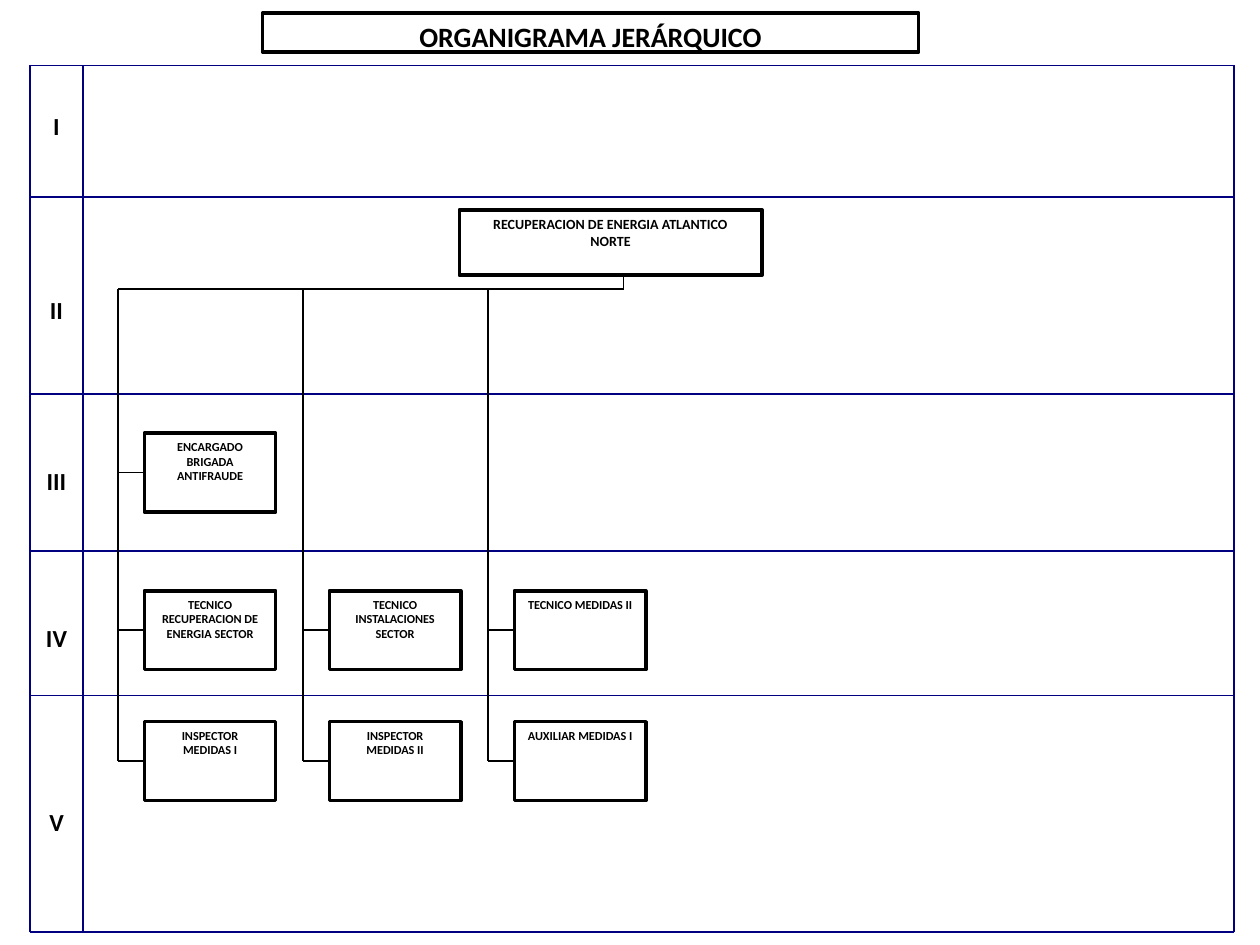
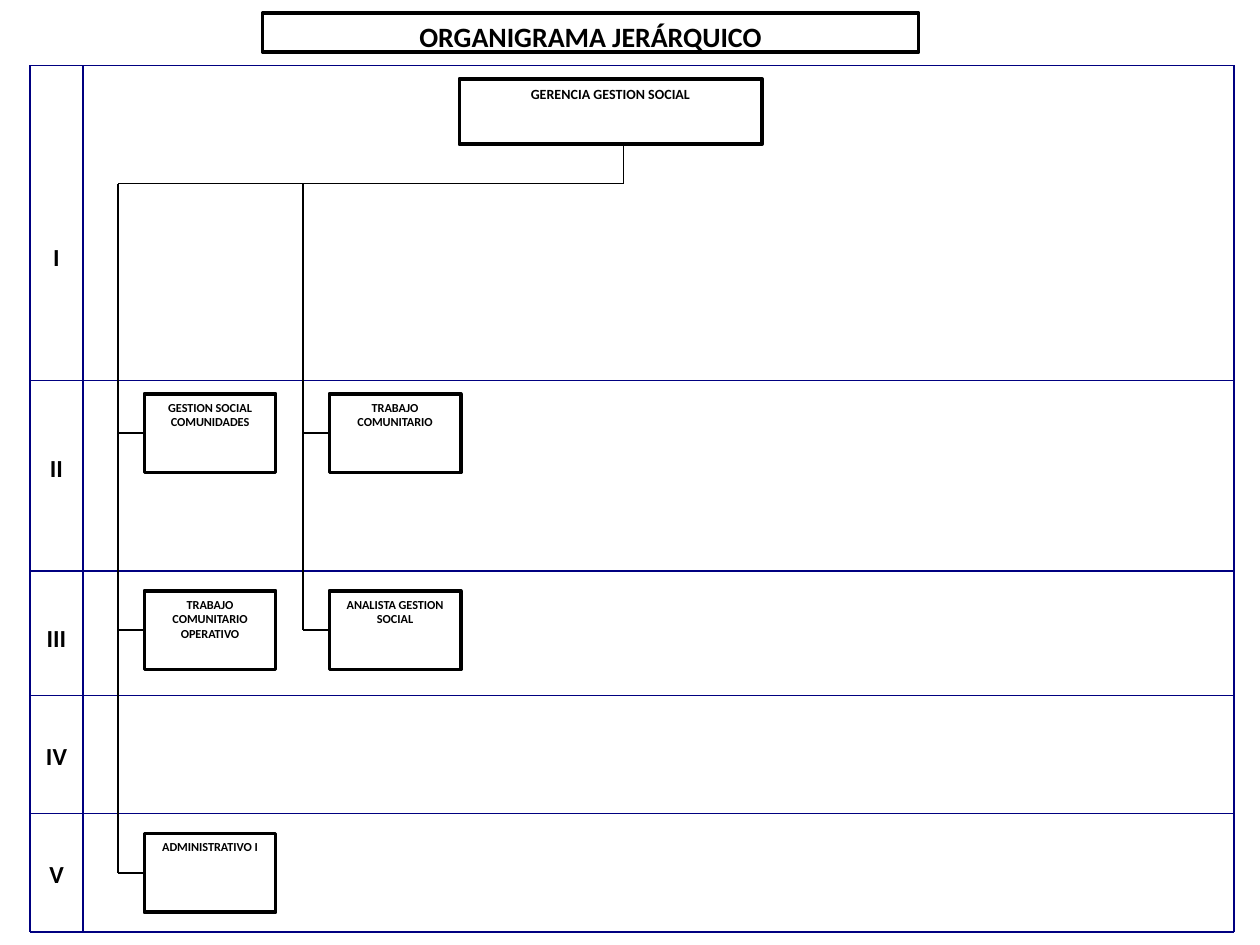
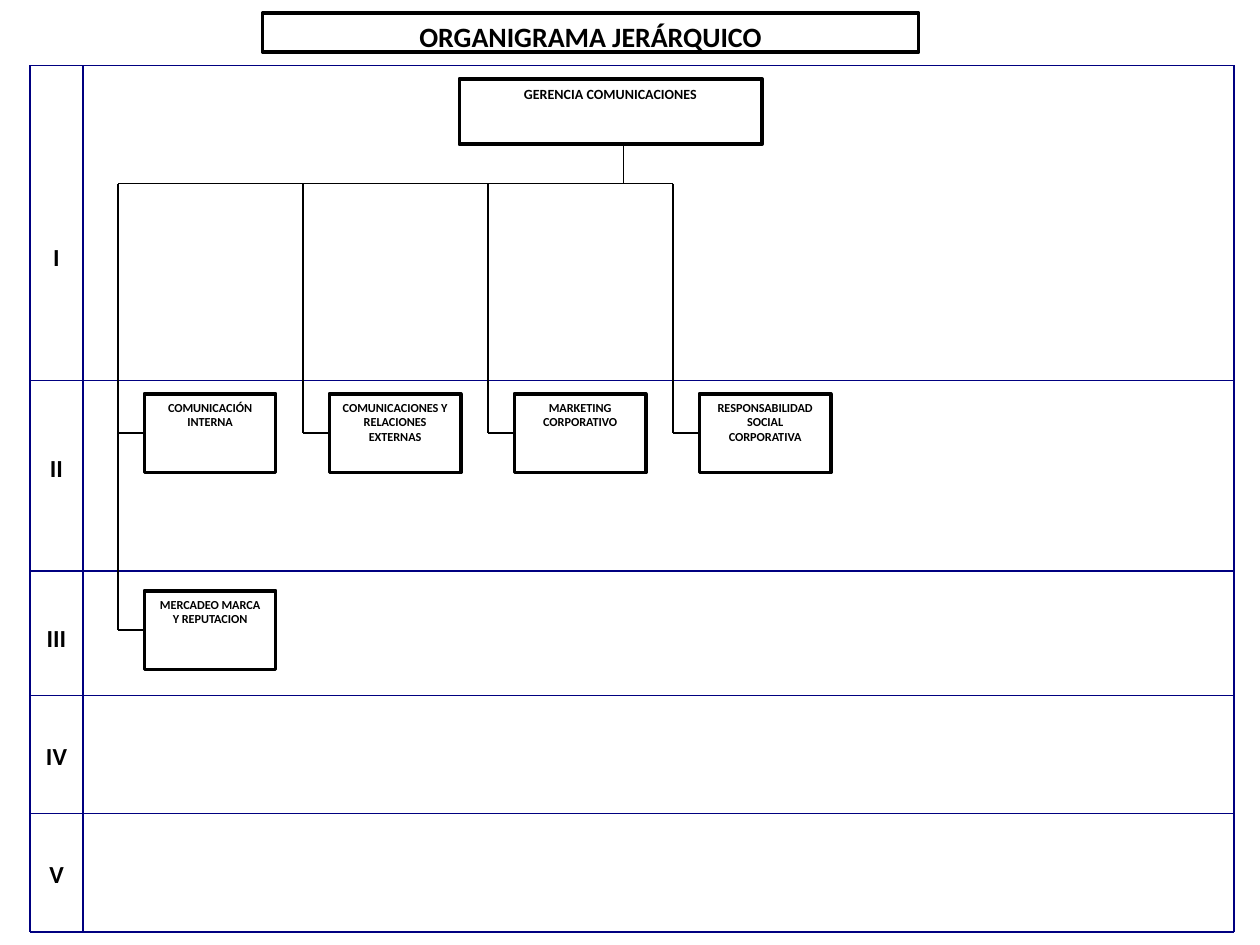
from lxml.etree import SubElement
from pptx import Presentation
from pptx.dml.color import RGBColor
from pptx.enum.shapes import MSO_CONNECTOR, MSO_SHAPE
from pptx.enum.text import MSO_ANCHOR, MSO_AUTO_SIZE, PP_ALIGN
from pptx.oxml.ns import qn
from pptx.util import Cm, Pt

TITLE = "ORGANIGRAMA JERÁRQUICO"
LEVELS = ("I", "II", "III", "IV", "V")

# Lengths are centimetres. A band plan holds the row edges and label tops.
FIELD_PLAN = {
    "edges": (1.32, 3.97, 7.94, 11.11, 14.02, 18.79),
    "labels": (2.12, 5.82, 9.26, 12.44, 16.14),
}
OFFICE_PLAN = {
    "edges": (1.32, 7.67, 11.51, 14.02, 16.4, 18.79),
    "labels": (4.76, 9.0, 12.44, 14.82, 17.2),
}

# Posts are (column, box top, name).
CHARTS = [
    {
        "plan": FIELD_PLAN,
        "head": "RECUPERACION DE ENERGIA ATLANTICO NORTE",
        "head_top": 4.23,
        "bus": 5.82,
        "posts": [
            (0, 8.73, "ENCARGADO BRIGADA ANTIFRAUDE"),
            (0, 11.91, "TECNICO RECUPERACION DE ENERGIA SECTOR"),
            (1, 11.91, "TECNICO INSTALACIONES SECTOR"),
            (2, 11.91, "TECNICO MEDIDAS II"),
            (0, 14.55, "INSPECTOR MEDIDAS I"),
            (1, 14.55, "INSPECTOR MEDIDAS II"),
            (2, 14.55, "AUXILIAR MEDIDAS I"),
        ],
    },
    {
        "plan": OFFICE_PLAN,
        "head": "GERENCIA GESTION SOCIAL",
        "head_top": 1.59,
        "bus": 3.7,
        "posts": [
            (0, 7.94, "GESTION SOCIAL COMUNIDADES"),
            (1, 7.94, "TRABAJO COMUNITARIO"),
            (0, 11.91, "TRABAJO COMUNITARIO OPERATIVO"),
            (1, 11.91, "ANALISTA GESTION SOCIAL"),
            (0, 16.8, "ADMINISTRATIVO I"),
        ],
    },
    {
        "plan": OFFICE_PLAN,
        "head": "GERENCIA COMUNICACIONES",
        "head_top": 1.59,
        "bus": 3.7,
        "posts": [
            (0, 7.94, "COMUNICACIÓN INTERNA"),
            (1, 7.94, "COMUNICACIONES Y RELACIONES EXTERNAS"),
            (2, 7.94, "MARKETING CORPORATIVO"),
            (3, 7.94, "RESPONSABILIDAD SOCIAL CORPORATIVA"),
            (0, 11.91, "MERCADEO MARCA Y REPUTACION"),
        ],
    },
]

COLORS = {"ink": "000000", "grid": "000080"}
FONT = "Calibri"
GRID_LEFT, LABEL_RIGHT, GRID_RIGHT = 0.6, 1.68, 24.87
LABEL_HEIGHT = 0.79
HEAD_LEFT, HEAD_WIDTH, HEAD_HEIGHT = 9.26, 6.1, 1.32
STEM_X = 12.57
POST_LEFT, POST_PITCH, POST_WIDTH, POST_HEIGHT = 2.91, 3.73, 2.65, 1.59
STUB = 0.53


def color(name):
    return RGBColor.from_string(COLORS[name])


def write(shape, text, size):
    frame = shape.text_frame
    frame.text = text
    frame.word_wrap = True
    frame.auto_size = MSO_AUTO_SIZE.NONE
    frame.vertical_anchor = MSO_ANCHOR.TOP
    para = frame.paragraphs[0]
    para.alignment = PP_ALIGN.CENTER
    font = para.runs[0].font
    font.name, font.size, font.bold = FONT, Pt(size), True
    font.color.rgb = color("ink")


def outline(shape):
    shape.fill.background()
    shape.line.color.rgb = color("ink")
    shape.line.width = Pt(2)


def add_box(page, left, top, width, height, text, size):
    box = page.shapes.add_shape(
        MSO_SHAPE.RECTANGLE, Cm(left), Cm(top), Cm(width), Cm(height))
    box.shadow.inherit = False
    outline(box)
    write(box, text, size)


def add_line(page, x1, y1, x2, y2, name="ink"):
    line = page.shapes.add_connector(
        MSO_CONNECTOR.STRAIGHT, Cm(x1), Cm(y1), Cm(x2), Cm(y2))
    line.line.color.rgb = color(name)
    line.line.width = Pt(1)
    SubElement(line._element.spPr, qn("a:effectLst"))


def add_title(page):
    title = page.shapes.title
    title.left, title.top = Cm(5.29), Cm(0.26)
    title.width, title.height = Cm(13.23), Cm(0.79)
    outline(title)
    write(title, TITLE, 16)


def add_bands(page, plan):
    edges = plan["edges"]
    for y in edges:
        add_line(page, GRID_LEFT, y, GRID_RIGHT, y, "grid")
    for x in (GRID_LEFT, LABEL_RIGHT, GRID_RIGHT):
        add_line(page, x, edges[0], x, edges[-1], "grid")
    for level, top in zip(LEVELS, plan["labels"]):
        label = page.shapes.add_textbox(
            Cm(GRID_LEFT), Cm(top), Cm(LABEL_RIGHT - GRID_LEFT), Cm(LABEL_HEIGHT))
        write(label, level, 14)


def add_tree(page, chart):
    """Draw the head, the bus below it and one trunk per column of posts."""
    head_top, bus = chart["head_top"], chart["bus"]
    add_box(page, HEAD_LEFT, head_top, HEAD_WIDTH, HEAD_HEIGHT, chart["head"], 8)
    add_line(page, STEM_X, head_top + HEAD_HEIGHT, STEM_X, bus)

    trunk_ends = {}
    for column, top, name in chart["posts"]:
        left = POST_LEFT + column * POST_PITCH
        middle = top + POST_HEIGHT / 2
        trunk = left - STUB
        add_box(page, left, top, POST_WIDTH, POST_HEIGHT, name, 7)
        add_line(page, trunk, middle, left, middle)
        trunk_ends[trunk] = max(middle, trunk_ends.get(trunk, bus))

    for trunk, end in trunk_ends.items():
        add_line(page, trunk, bus, trunk, end)
    add_line(page, min(trunk_ends), bus, max(STEM_X, *trunk_ends), bus)


def main():
    deck = Presentation()
    deck.slide_width, deck.slide_height = Cm(25.4), Cm(19.05)
    title_only = deck.slide_layouts[5]
    for chart in CHARTS:
        page = deck.slides.add_slide(title_only)
        add_title(page)
        add_bands(page, chart["plan"])
        add_tree(page, chart)
    deck.save("out.pptx")


if __name__ == "__main__":
    main()
